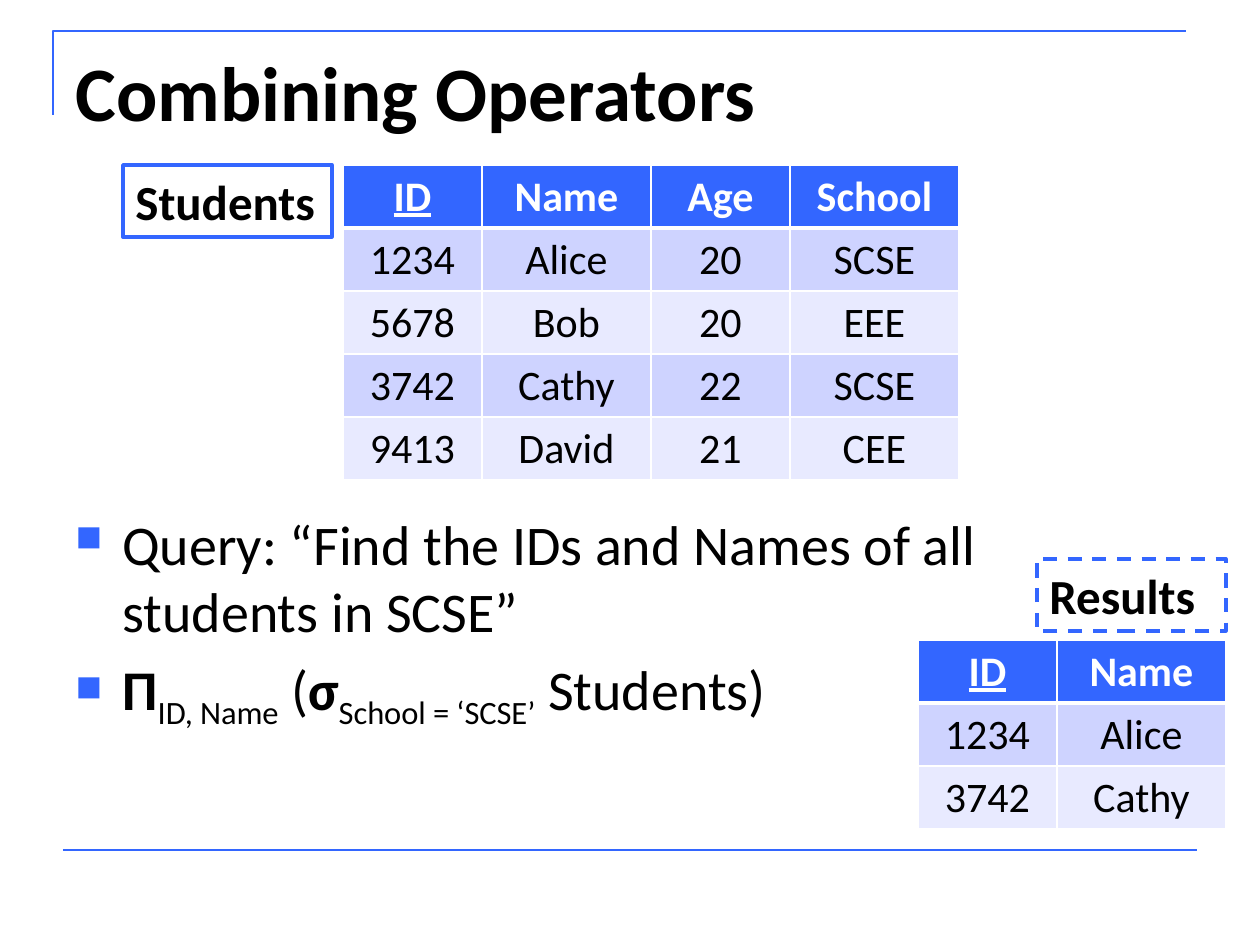
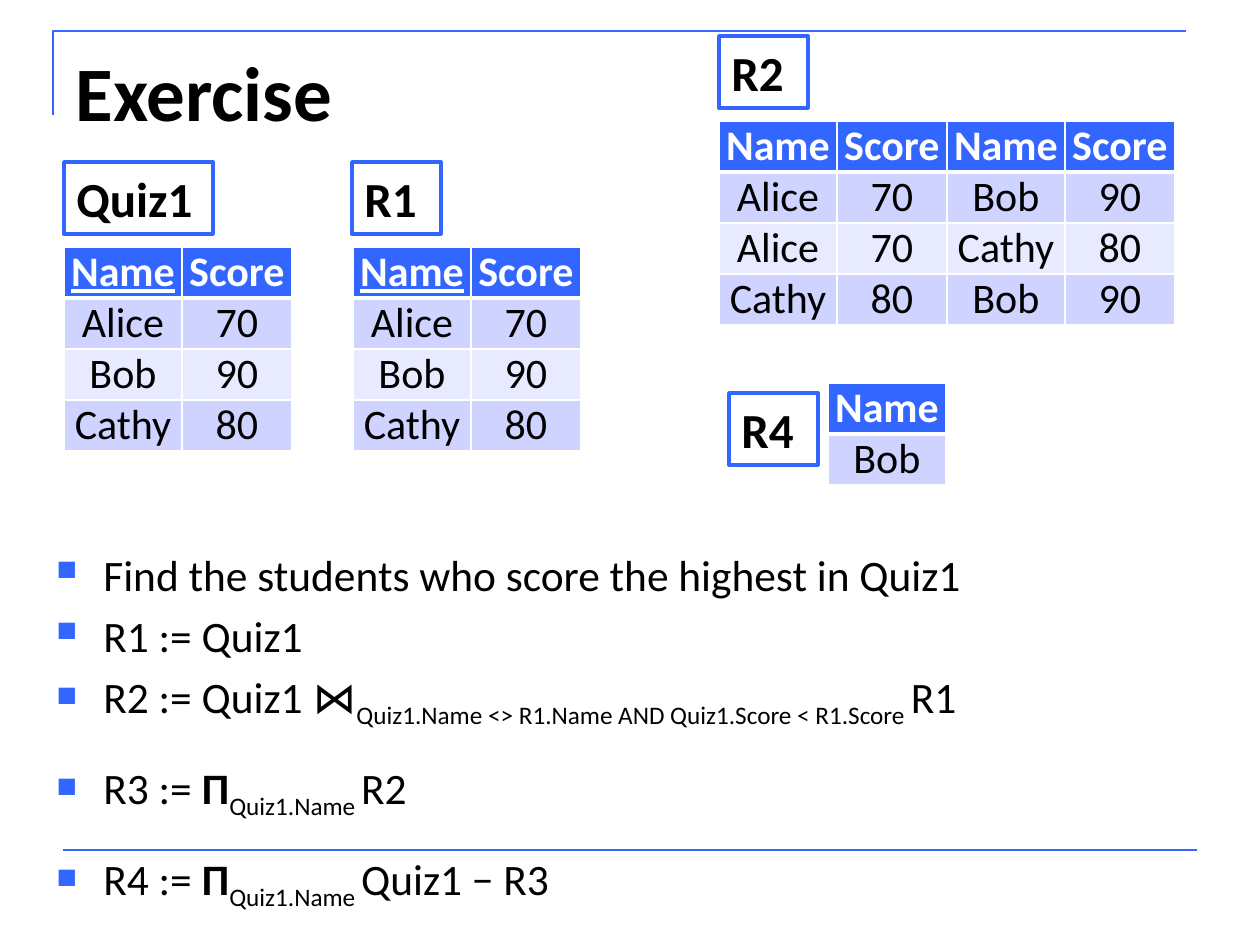
from dataclasses import dataclass

from lxml.etree import SubElement
from pptx import Presentation
from pptx.dml.color import RGBColor as RGB
from pptx.enum.dml import MSO_LINE as DASH
from pptx.enum.shapes import MSO_CONNECTOR as LINK, MSO_SHAPE as SHAPE
from pptx.enum.text import MSO_ANCHOR as ANCHOR, PP_ALIGN as ALIGN
from pptx.oxml import parse_xml
from pptx.oxml.ns import nsdecls, qn
from pptx.util import Pt

PX = 7257  # EMU in one px, 126 px to the inch


@dataclass(frozen=True)
class Theme:
    font: str = "Calibri"
    blue: RGB = RGB(0x33, 0x66, 0xFF)
    black: RGB = RGB(0, 0, 0)
    white: RGB = RGB(0xFF, 0xFF, 0xFF)
    bands: tuple = (RGB(0xE8, 0xEA, 0xFF), RGB(0xCE, 0xD3, 0xFF))
    title: float = 44
    label: float = 28
    cell: float = 24
    rule: float = 1.5
    box: float = 2


T = Theme()


def write(para, runs, size, color=T.black):
    """Add (text, style) runs; style letters: b bold, u underline, s subscript."""
    for text, style in runs:
        run = para.add_run()
        run.text = text
        font = run.font
        font.name, font.size = T.font, Pt(size)
        font.color.rgb = color
        font.bold = "b" in style
        font.underline = "u" in style
        if "s" in style:
            run._r.get_or_add_rPr().set("baseline", "-25000")


def grid(slide, left, top, cols, high, rows, keyed, inset):
    """Add a banded table; keyed underlines the first heading."""
    frame = slide.shapes.add_table(len(rows), len(cols), left * PX, top * PX,
                                   sum(cols) * PX, high * len(rows) * PX)
    table = frame.table
    for c, wide in enumerate(cols):
        table.columns[c].width = wide * PX
    for r, row in enumerate(rows):
        table.rows[r].height = high * PX
        head = r == 0
        for c, text in enumerate(row):
            cell = table.cell(r, c)
            if not inset:
                cell.margin_left = cell.margin_right = 0
                cell.margin_top = cell.margin_bottom = 0
            cell.fill.solid()
            cell.fill.fore_color.rgb = T.blue if head else T.bands[r % 2]
            para = cell.text_frame.paragraphs[0]
            para.alignment = ALIGN.CENTER
            style = "" if not head else "bu" if keyed and c == 0 else "b"
            write(para, [(text, style)], T.cell, T.white if head else T.black)
            edges = {"L": 1, "R": 1, "T": 3 if r == 1 else 1, "B": 3 if head else 1}
            for n, (side, wide) in enumerate(edges.items()):
                cell._tc.get_or_add_tcPr().insert(n, parse_xml(
                    f'<a:ln{side} {nsdecls("a")} w="{Pt(wide)}"><a:solidFill>'
                    f'<a:srgbClr val="{T.white}"/></a:solidFill></a:ln{side}>'))


wide, slim = (139, 169), (118, 110)
quiz = ["Name Score", "Alice 70", "Bob 90", "Cathy 80"]
pairs = ["Name Score Name Score", "Alice 70 Bob 90", "Alice 70 Cathy 80",
         "Cathy 80 Bob 90"]
people = ["ID Name Age School", "1234 Alice 20 SCSE", "5678 Bob 20 EEE",
          "3742 Cathy 22 SCSE", "9413 David 21 CEE"]
found = ["ID Name", "1234 Alice", "3742 Cathy"]

# Tables: left, top, columns, row height, rows, keyed, inset
# Labels: text, left, top, width, dash
# Points: space before in points, runs
pages = [
    dict(
        title="Combining Operators",
        tables=[(343, 165, wide * 2, 63, people, True, True),
                (918, 640, wide, 63, found, True, True)],
        labels=[("Students", 123, 165, 209, DASH.SOLID),
                ("Results", 1037, 559, 189, DASH.DASH)],
        body=(63, 503, 1134, 343), size=32,
        points=[
            (6.4, [("Query: “Find the IDs and Names of all students in SCSE”", "")]),
            (6.4, [("Π", "b"), ("ID, Name", "s"), (" (", ""), ("σ", "b"),
                   ("School = ‘SCSE’", "s"), (" Students)", "")]),
        ]),
    dict(
        title="Exercise",
        tables=[(64, 247, slim, 51, quiz, True, False),
                (353, 247, slim, 51, quiz, True, False),
                (719, 121, slim * 2, 51, pairs, False, False),
                (828, 383, slim[:1], 51, ["Name", "Bob"], False, False)],
        labels=[("Quiz1", 64, 162, 149, DASH.SOLID),
                ("R1", 352, 162, 89, DASH.SOLID),
                ("R2", 719, 36, 89, DASH.SOLID),
                ("R4", 729, 393, 89, DASH.SOLID)],
        body=(44, 542, 1150, 302), size=24.8,
        points=[
            (5, [("Find the students who score the highest in Quiz1", "")]),
            (5, [("R1 := Quiz1", "")]),
            (5, [("R2 := Quiz1 ⋈", ""),
                 ("Quiz1.Name <> R1.Name AND Quiz1.Score < R1.Score ", "s"),
                 ("R1", "")]),
            (18.2, [("R3 := ", ""), ("Π", "b"), ("Quiz1.Name ", "s"), ("R2", "")]),
            (18.2, [("R4 := ", ""), ("Π", "b"), ("Quiz1.Name ", "s"),
                    ("Quiz1 − R3", "")]),
        ]),
]

deck = Presentation()
deck.slide_width, deck.slide_height = 1260 * PX, 945 * PX

for page in pages:
    slide = deck.slides.add_slide(deck.slide_layouts[5])
    shapes = slide.shapes

    # Corner rule and foot rule
    pen = shapes.build_freeform(53, 115, scale=PX)
    pen.add_line_segments([(53, 31), (1186, 31)], close=False)
    corner = pen.convert_to_shape()
    corner.shadow.inherit = False
    corner.fill.background()
    foot = shapes.add_connector(LINK.STRAIGHT, 63 * PX, 850 * PX, 1197 * PX, 850 * PX)
    SubElement(foot._element.spPr, qn("a:effectLst"))
    for rule in (corner, foot):
        rule.line.color.rgb = T.blue
        rule.line.width = Pt(T.rule)

    title = shapes.title
    title.left, title.top, title.width, title.height = (
        n * PX for n in (63, 38, 1134, 157))
    title.text_frame.vertical_anchor = ANCHOR.TOP
    para = title.text_frame.paragraphs[0]
    para.alignment = ALIGN.LEFT
    write(para, [(page["title"], "b")], T.title)

    # Bulleted points
    body = shapes.add_textbox(*(n * PX for n in page["body"])).text_frame
    body.word_wrap = True
    for n, (gap, runs) in enumerate(page["points"]):
        para = body.add_paragraph() if n else body.paragraphs[0]
        para.space_before = Pt(gap if n else 0)
        props = para._p.get_or_add_pPr()
        props.set("marL", str(47 * PX))
        props.set("indent", str(-47 * PX))
        tint = SubElement(props, qn("a:buClr"))
        SubElement(tint, qn("a:srgbClr"), val=str(T.blue))
        SubElement(props, qn("a:buSzPct"), val="65000")
        SubElement(props, qn("a:buChar"), char="■")
        write(para, runs, page["size"])

    for left, top, cols, high, rows, keyed, inset in page["tables"]:
        grid(slide, left, top, cols, high, [row.split() for row in rows], keyed, inset)

    for text, left, top, width, dash in page["labels"]:
        box = shapes.add_shape(SHAPE.RECTANGLE, left * PX, top * PX, width * PX, 72 * PX)
        box.shadow.inherit = False
        box.fill.background()
        box.line.color.rgb = T.blue
        box.line.width = Pt(T.box)
        box.line.dash_style = dash
        box.text_frame.word_wrap = False
        box.text_frame.vertical_anchor = ANCHOR.TOP
        para = box.text_frame.paragraphs[0]
        para.alignment = ALIGN.LEFT
        write(para, [(text, "b")], T.label)

deck.save("out.pptx")
